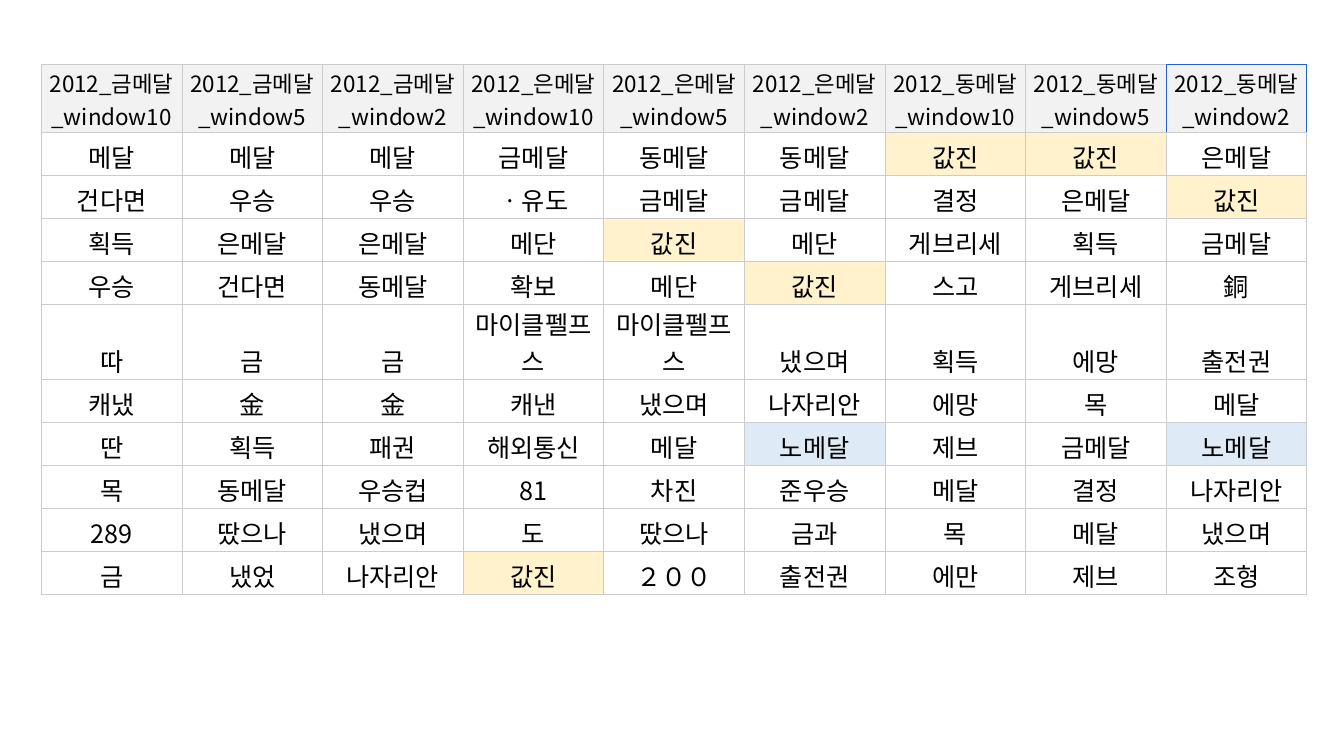
from pptx import Presentation
from pptx.util import Pt
from pptx.dml.color import RGBColor as RGB
from pptx.enum.text import PP_ALIGN as AL, MSO_ANCHOR as ANC
from pptx.oxml import parse_xml
from pptx.oxml.ns import nsdecls

HUES = {"text": "000000", "head": "F2F2F2", "grid": "CCCCCC",
        "edge": "2062D4", "worth": "FFF2CC", "none": "DEEBF7"}
MARKS = {"값진": "worth", "노메달": "none"}
FONT = "Noto Sans CJK KR"

# Words: one column per medal and window size
heads = [f"2012_{medal}메달_window{size}"
         for medal in "금은동" for size in (10, 5, 2)]
words = """
메달 메달 메달 금메달 동메달 동메달 값진 값진 은메달
건다면 우승 우승 \u318d유도 금메달 금메달 결정 은메달 값진
획득 은메달 은메달 메단 값진 메단 게브리세 획득 금메달
우승 건다면 동메달 확보 메단 값진 스고 게브리세 銅
따 금 금 마이클펠프스 마이클펠프스 냈으며 획득 에망 출전권
캐냈 \uf90a \uf90a 캐낸 냈으며 나자리안 에망 목 메달
딴 획득 패권 해외통신 메달 노메달 제브 금메달 노메달
목 동메달 우승컵 81 차진 준우승 메달 결정 나자리안
289 땄으나 냈으며 도 땄으나 금과 목 메달 냈으며
금 냈었 나자리안 값진 ２００ 출전권 에만 제브 조형
"""
rows = [heads] + [line.split() for line in words.strip().splitlines()]
last = len(heads) - 1

# Slide
deck = Presentation()
deck.slide_width, deck.slide_height = Pt(960), Pt(540)
slide = deck.slides.add_slide(deck.slide_layouts[6])

# Table grid
highs = [48.5] + [30.7] * 10
highs[5] = 45.5
wide = 100.45
frame = slide.shapes.add_table(len(rows), len(heads), Pt(29.5), Pt(46.3),
                               Pt(wide * len(heads)), Pt(sum(highs)))
table = frame.table
table.first_row = table.horz_banding = False
for col in table.columns:
    col.width = Pt(wide)
for row, high in zip(table.rows, highs):
    row.height = Pt(high)

# Cells
for r, line in enumerate(rows):
    for c, word in enumerate(line):
        cell = table.cell(r, c)
        cell.margin_left = cell.margin_right = Pt(0.75)
        cell.margin_top = cell.margin_bottom = Pt(0.75)
        cell.vertical_anchor = ANC.BOTTOM

        # Borders, with the last heading outlined
        blue = ""
        if r == 0 and c == last:
            blue = "LRT"
        elif r == 0 and c == last - 1:
            blue = "R"
        props = cell._tc.get_or_add_tcPr()
        for side in "LRTB":
            hue = HUES["edge" if side in blue else "grid"]
            props.append(parse_xml(
                f'<a:ln{side} {nsdecls("a")} w="6350"><a:solidFill>'
                f'<a:srgbClr val="{hue}"/></a:solidFill></a:ln{side}>'))

        # Fill
        mark = "head" if r == 0 else MARKS.get(word)
        if mark:
            cell.fill.solid()
            cell.fill.fore_color.rgb = RGB.from_string(HUES[mark])
        else:
            cell.fill.background()

        # Text
        para = cell.text_frame.paragraphs[0]
        para.alignment = AL.CENTER
        run = para.add_run()
        run.text = word
        run.font.size = Pt(16 if r == 0 else 18)
        run.font.color.rgb = RGB.from_string(HUES["text"])
        run.font.name = FONT
        run.font._element.append(
            parse_xml(f'<a:ea {nsdecls("a")} typeface="{FONT}"/>'))

deck.save("out.pptx")
